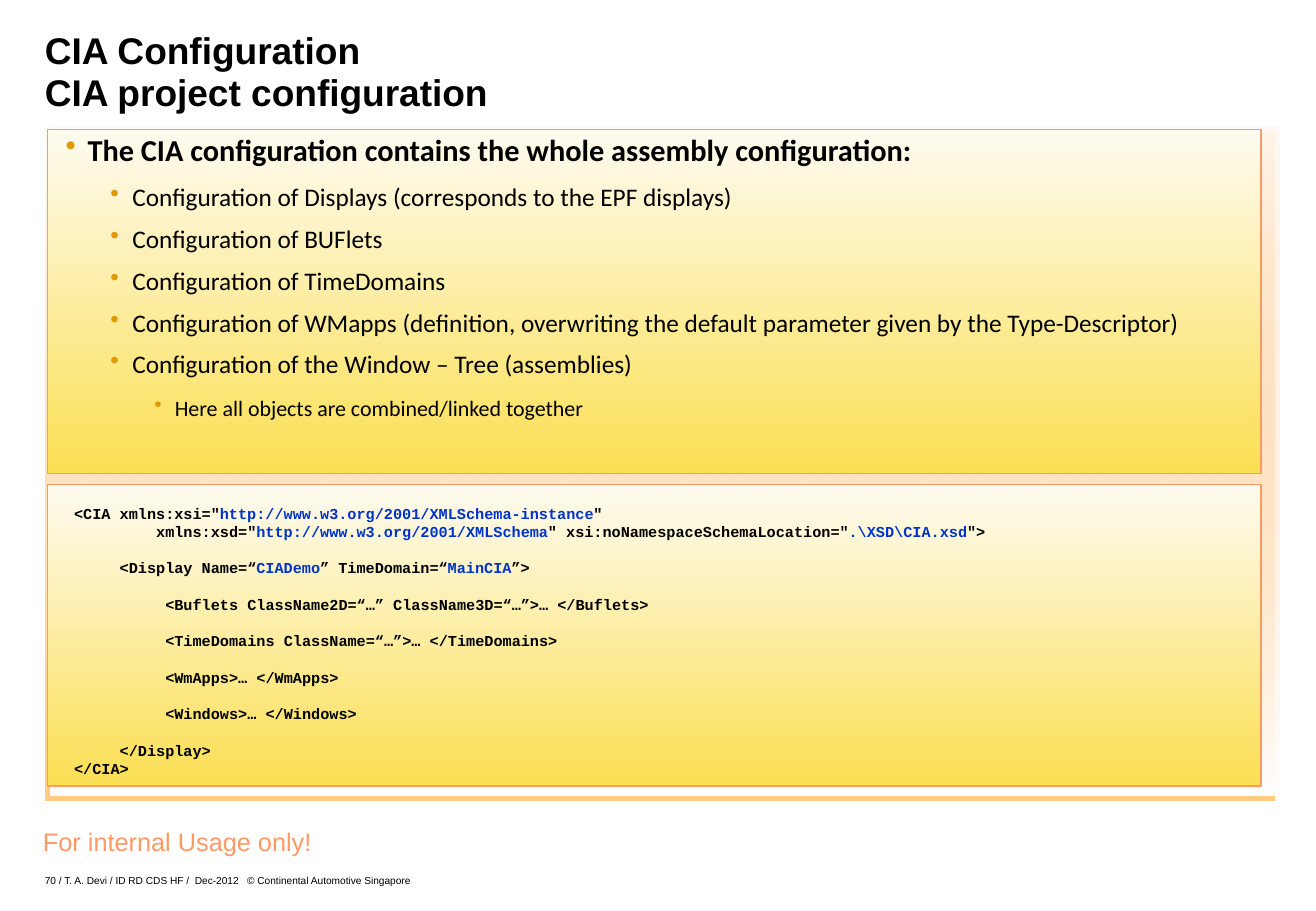
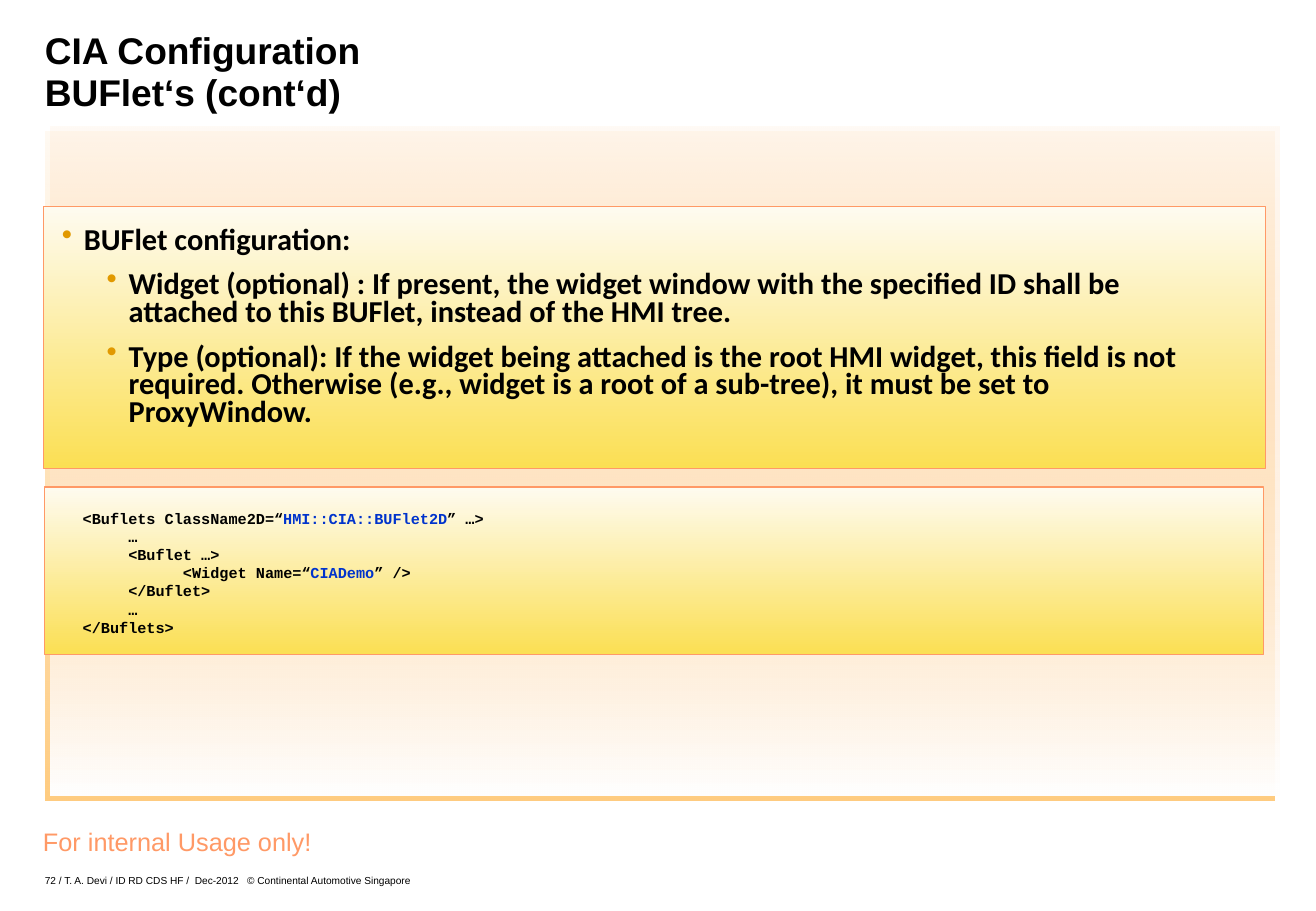
from lxml import etree
from pptx import Presentation
from pptx.dml.color import RGBColor
from pptx.enum.shapes import MSO_SHAPE
from pptx.enum.text import MSO_ANCHOR, PP_ALIGN
from pptx.oxml.ns import qn
from pptx.util import Pt

RECT = MSO_SHAPE.RECTANGLE
TOP, BOTTOM = MSO_ANCHOR.TOP, MSO_ANCHOR.BOTTOM
CENTER = PP_ALIGN.CENTER

# Shared style
BLACK, WHITE, BLUE = "000000", "FFFFFF", "0033CC"
ORANGE, BULLET, SHADOW, PEACH = "FF9966", "E19900", "FF9900", "FFCC99"
CREAM, YELLOW = "FEFBF0", "FBDF53"
CODE_LINE = 10.8
BODY_LINE = 16.5
INDENTS = [(13, 13), (39.6, 13), (64.8, 12.2)]  # left margin, hanging, by level
rgb = RGBColor.from_string


def gradient_box(s, at, first, last, line=None):
    sp = s.shapes.add_shape(RECT, *map(Pt, at))
    sp.shadow.inherit = False
    sp.fill.gradient()
    sp.fill.gradient_angle = 270
    for stop, color in zip(sp.fill.gradient_stops, (first, last)):
        stop.color.rgb = rgb(color)
    if line:
        sp.line.color.rgb = rgb(line)
        sp.line.width = Pt(0.75)
    else:
        sp.line.fill.background()
    return sp


def text_box(s, at, lines, font, size, color=BLACK, bold=False, spacing=None, anchor=TOP):
    """Write one paragraph per line; text between bars is blue."""
    tf = s.shapes.add_textbox(*map(Pt, at)).text_frame
    tf.margin_left = tf.margin_top = tf.margin_right = tf.margin_bottom = 0
    tf.word_wrap = True
    tf.vertical_anchor = anchor
    for n, line in enumerate(lines):
        p = tf.add_paragraph() if n else tf.paragraphs[0]
        if spacing:
            p.line_spacing = Pt(spacing)
        first, *rest = line.split("|")
        p.text = first
        for part in rest:
            p.add_run().text = part
        for i, r in enumerate(p.runs):
            r.font.name, r.font.size, r.font.bold = font, Pt(size), bold
            r.font.color.rgb = rgb(BLUE if rest and i % 2 else color)
    return tf


# Content: body lines are (level, size, bold, text), code lines (blank line before, text)
slides = [
    dict(
        number=70,
        title="CIA Configuration\vCIA project configuration",
        body_box=(28.1, 77, 719.3, 203.8),
        body_at=(38.9, 82.8, 700, 126),
        body=[
            (0, 18, True, "The CIA configuration contains the whole assembly configuration:"),
            (1, 15, False, "Configuration of Displays (corresponds to the EPF displays)"),
            (1, 15, False, "Configuration of BUFlets"),
            (1, 15, False, "Configuration of TimeDomains"),
            (1, 15, False, "Configuration of WMapps (definition, overwriting the default "
                           "parameter given by the Type-Descriptor)"),
            (1, 15, False, "Configuration of the Window – Tree (assemblies)"),
            (2, 13, False, "Here all objects are combined/linked together"),
        ],
        code_box=(28.1, 287.3, 719.3, 178.6),
        code_at=(43.9, 298.8, 685, 166),
        code=[
            (False, '<CIA xmlns:xsi="|http://www.w3.org/2001/XMLSchema-instance|"'),
            (False, '         xmlns:xsd="|http://www.w3.org/2001/XMLSchema|" '
                    'xsi:noNamespaceSchemaLocation="|.\\XSD\\CIA.xsd|">'),
            (True, "     <Display Name=“|CIADemo|” TimeDomain=“|MainCIA|”>"),
            (True, "          <Buflets ClassName2D=“…” ClassName3D=“…”>… </Buflets>"),
            (True, "          <TimeDomains ClassName=“…”>… </TimeDomains>"),
            (True, "          <WmApps>… </WmApps>"),
            (True, "          <Windows>… </Windows>"),
            (True, "     </Display>"),
            (False, "</CIA>"),
        ],
    ),
    dict(
        number=72,
        title="CIA Configuration\vBUFlet‘s (cont‘d)",
        body_box=(25.9, 122.4, 724, 155.5),
        body_at=(36.7, 135.4, 676.8, 123),
        body=[
            (0, 18, True, "BUFlet configuration:"),
            (1, 18, True, "Widget (optional) : If present, the widget window with the specified "
                          "ID shall be attached to this BUFlet, instead of the HMI tree."),
            (1, 18, True, "Type (optional): If the widget being attached is the root HMI widget, "
                          "this field is not required. Otherwise (e.g., widget is a root of a "
                          "sub-tree), it must be set to ProxyWindow."),
        ],
        code_box=(26.6, 288.7, 722.2, 99.4),
        code_at=(49, 301.7, 610, 77),
        code=[
            (False, "<Buflets ClassName2D=“|HMI::CIA::BUFlet2D|” …>"),
            (False, "     …"),
            (False, "     <Buflet …>"),
            (False, "           <Widget Name=“|CIADemo|” />"),
            (False, "     </Buflet>"),
            (False, "     …"),
            (False, "</Buflets>"),
        ],
    ),
]

prs = Presentation()
prs.slide_width, prs.slide_height = Pt(780), Pt(540)

for page in slides:
    s = prs.slides.add_slide(prs.slide_layouts[6])

    # Background panel: fades in from the top, shadow to the lower left
    panel = gradient_box(s, (30.2, 74.9, 728, 396.7), PEACH, WHITE)
    sp_pr = panel._element.spPr
    etree.SubElement(sp_pr.find(".//" + qn("a:srgbClr")), qn("a:alpha"), val="10000")
    shadow = etree.SubElement(sp_pr.find(qn("a:effectLst")), qn("a:outerShdw"),
                              blurRad="0", dist=str(Pt(4.2)), dir="8100000",
                              algn="ctr", rotWithShape="0")
    shadow_color = etree.SubElement(shadow, qn("a:srgbClr"), val=SHADOW)
    etree.SubElement(shadow_color, qn("a:alpha"), val="50000")

    # Usage note, title and footer
    tf = text_box(s, (18, 489.6, 174.2, 18), ["For internal Usage only!"], "Arial", 15, ORANGE)
    tf.word_wrap = False
    tf.paragraphs[0].alignment = CENTER
    text_box(s, (26.6, 18, 727.2, 49.7), [page["title"]], "Arial", 22,
             bold=True, spacing=24.8, anchor=BOTTOM)
    footer = f"{page['number']} / T. A. Devi / ID RD CDS HF /  Dec-2012   © Continental Automotive Singapore"
    text_box(s, (26.6, 514.1, 247, 11.5), [footer], "Arial", 6, spacing=5.5, anchor=BOTTOM)

    # Code
    gradient_box(s, page["code_box"], CREAM, YELLOW, ORANGE)
    tf = text_box(s, page["code_at"], [text for _, text in page["code"]],
                  "Courier New", 9, bold=True, spacing=CODE_LINE)
    for p, (gap, _) in zip(tf.paragraphs, page["code"]):
        if gap:
            p.space_before = Pt(CODE_LINE)

    # Bulleted body
    gradient_box(s, page["body_box"], CREAM, YELLOW, ORANGE)
    tf = text_box(s, page["body_at"], [text for *_, text in page["body"]],
                  "Calibri", 18, spacing=BODY_LINE)
    for p, (level, size, bold, _) in zip(tf.paragraphs, page["body"]):
        p.level = level
        p.space_after = Pt(0.55 * size)
        left, hanging = INDENTS[level]
        p_pr = p._p.get_or_add_pPr()
        p_pr.set("marL", str(Pt(left)))
        p_pr.set("indent", str(-Pt(hanging)))
        bullet_color = etree.SubElement(p_pr, qn("a:buClr"))
        etree.SubElement(bullet_color, qn("a:srgbClr"), val=BULLET)
        etree.SubElement(p_pr, qn("a:buChar"), char="•")
        for r in p.runs:
            r.font.size, r.font.bold = Pt(size), bold

prs.save("out.pptx")
